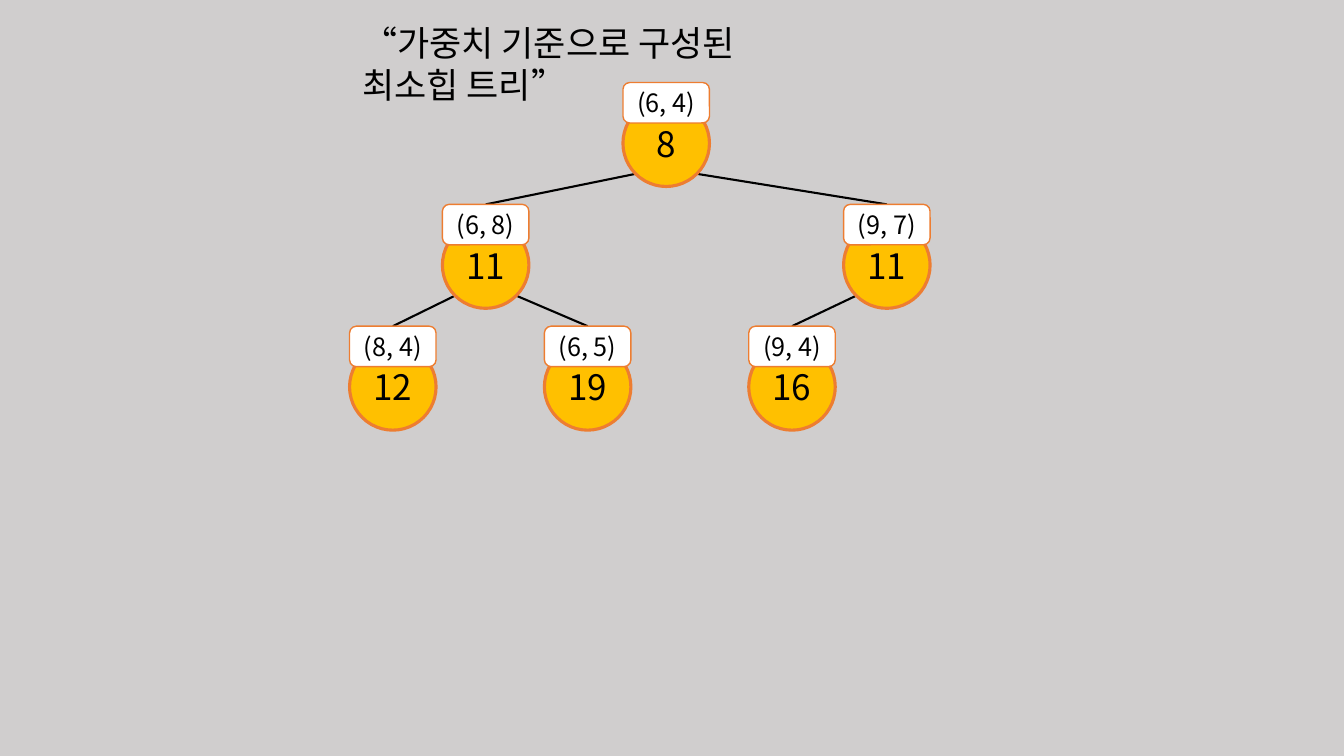
from dataclasses import dataclass
from math import sqrt
from typing import Any, Optional

from lxml import etree
from pptx import Presentation
from pptx import util as u
from pptx.dml.color import RGBColor
from pptx.enum import shapes, text
from pptx.oxml.ns import qn


@dataclass(frozen=True)
class Theme:
    font: str = "Noto Sans CJK KR"
    back: str = "D0CECE"
    ink: str = "000000"
    ball: str = "FFC000"
    tag: str = "FFFFFF"
    rim: str = "ED7D31"
    big: float = 25
    small: float = 18
    edge: float = 1.5
    thick: float = 2.25
    thin: float = 1


@dataclass(frozen=True)
class Node:
    cost: str
    pair: str
    left: float
    row: int
    root: Optional[int] = None  # index of the parent node
    side: int = 0  # -1 left child, 1 right child

    @property
    def top(self) -> float:
        return TOP + self.row * STEP

    @property
    def mid(self) -> float:
        return self.left + SIZE / 2


# Lengths in centimetres
TOP, STEP = 2.08, 3.07
SIZE, TALL, DROP = 2.18, 1.02, 0.44

THEME = Theme()
HEAP = [
    Node("8", "(6, 4)", 15.7, 0),
    Node("11", "(6, 8)", 11.15, 1, 0, -1),
    Node("11", "(9, 7)", 21.26, 1, 0, 1),
    Node("12", "(8, 4)", 8.81, 2, 1, -1),
    Node("19", "(6, 5)", 13.72, 2, 1, 1),
    Node("16", "(9, 4)", 18.87, 2, 2, -1),
]


def color(code: str) -> RGBColor:
    return RGBColor.from_string(code)


def write(frame: Any, words: str, size: float) -> None:
    run = frame.paragraphs[0].add_run()
    run.text = words
    run.font.name = THEME.font
    run.font.size = u.Pt(size)
    run.font.color.rgb = color(THEME.ink)
    east = etree.SubElement(run.font._element, qn("a:ea"))
    east.set("typeface", THEME.font)


def block(group: Any, kind: Any, left: float, top: float, tall: float,
          fill: str, rim: float, words: str, size: float) -> None:
    shape = group.shapes.add_shape(
        kind, u.Cm(left), u.Cm(top), u.Cm(SIZE), u.Cm(tall))
    shape.shadow.inherit = False
    shape.fill.solid()
    shape.fill.fore_color.rgb = color(fill)
    shape.line.color.rgb = color(THEME.rim)
    shape.line.width = u.Pt(rim)
    frame = shape.text_frame
    frame.margin_left = frame.margin_right = 0
    frame.margin_top = frame.margin_bottom = 0
    frame.vertical_anchor = text.MSO_ANCHOR.MIDDLE
    frame.paragraphs[0].alignment = text.PP_ALIGN.CENTER
    write(frame, words, size)


def draw(slide: Any, node: Node) -> None:
    group = slide.shapes.add_group_shape()
    kinds = shapes.MSO_SHAPE
    block(group, kinds.OVAL, node.left, node.top + DROP, SIZE,
          THEME.ball, THEME.thick, node.cost, THEME.big)
    block(group, kinds.ROUNDED_RECTANGLE, node.left, node.top, TALL,
          THEME.tag, THEME.thin, node.pair, THEME.small)


def link(slide: Any, root: Node, node: Node) -> None:
    reach = SIZE / 2 / sqrt(2)  # the edge leaves the circle at 45 degrees
    line = slide.shapes.add_connector(
        shapes.MSO_CONNECTOR.STRAIGHT,
        u.Cm(root.mid + node.side * reach),
        u.Cm(root.top + DROP + SIZE / 2 + reach),
        u.Cm(node.mid), u.Cm(node.top))
    line.line.color.rgb = color(THEME.ink)
    line.line.width = u.Pt(THEME.edge)
    etree.SubElement(line._element.spPr, qn("a:effectLst"))


# Slide and background
deck = Presentation()
deck.slide_width, deck.slide_height = u.Cm(33.87), u.Cm(19.05)
slide = deck.slides.add_slide(deck.slide_layouts[6])
slide.background.fill.solid()
slide.background.fill.fore_color.rgb = color(THEME.back)

# Title
title = slide.shapes.add_textbox(u.Cm(8.89), u.Cm(0.43), u.Cm(12.09), u.Cm(1.32))
title.text_frame.word_wrap = True
write(title.text_frame, "“가중치 기준으로 구성된 최소힙 트리”", THEME.big)

# Edges, then nodes on top
for node in HEAP:
    if node.root is not None:
        link(slide, HEAP[node.root], node)
for node in HEAP:
    draw(slide, node)

deck.save("out.pptx")
